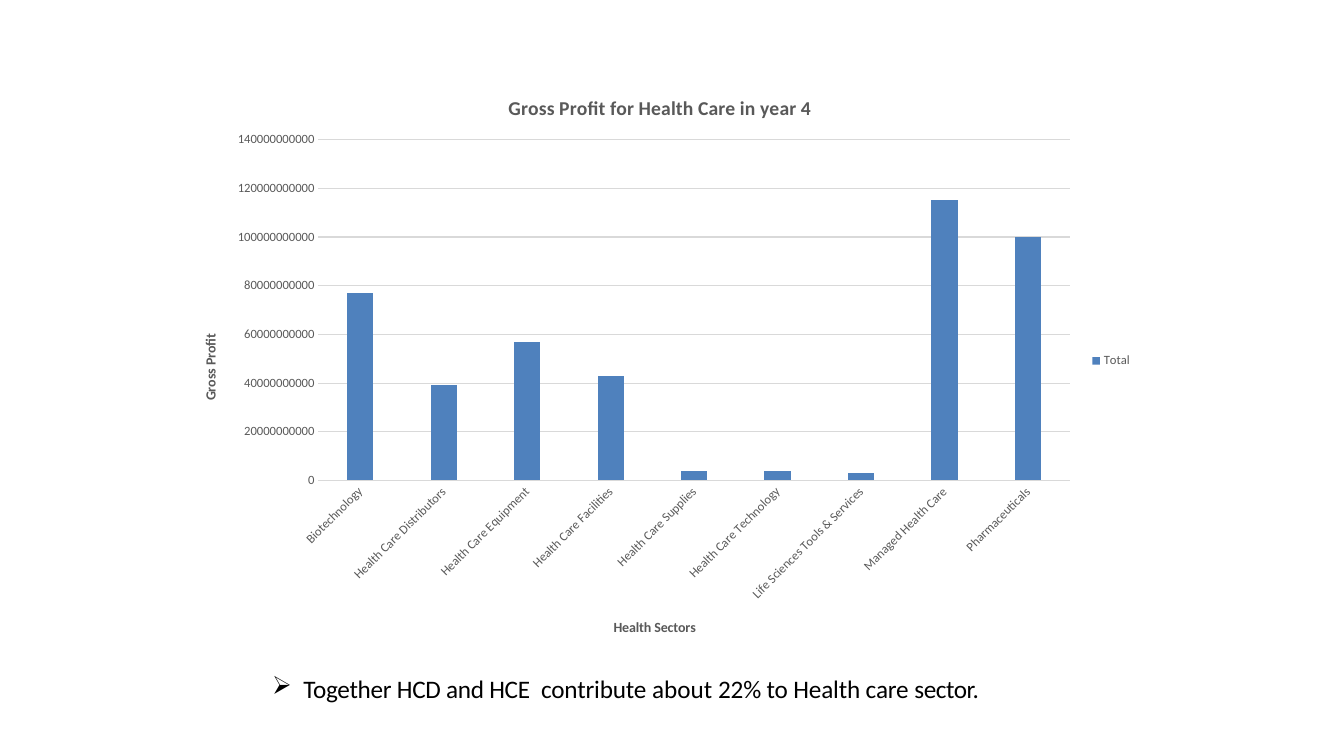
from lxml import etree
from pptx import Presentation
from pptx.chart.data import CategoryChartData
from pptx.dml.color import RGBColor
from pptx.enum.chart import XL_CHART_TYPE, XL_LEGEND_POSITION, XL_TICK_MARK
from pptx.oxml import parse_xml
from pptx.oxml.ns import nsdecls, qn
from pptx.util import Inches, Pt

GREY, GRID, BLUE, BLACK = "595959", "D9D9D9", "4F81BD", "000000"
BILLION = 10 ** 9

GROSS_PROFIT = {
    "Biotechnology": 77,
    "Health Care Distributors": 39,
    "Health Care Equipment": 57,
    "Health Care Facilities": 43,
    "Health Care Supplies": 4,
    "Health Care Technology": 4,
    "Life Sciences Tools & Services": 3,
    "Managed Health Care": 115,
    "Pharmaceuticals": 100,
}

# Runs of the takeaway with their letter spacing in hundredths of a point
TAKEAWAY = [
    ("Together HCD and HCE  ", -20),
    ("contribute ", -10),
    ("about ", 0),
    ("22% to Health care ", -10),
    ("sector.", -30),
]


def rgb(value):
    return RGBColor.from_string(value)


def set_attrs(obj, values):
    for name, value in values.items():
        setattr(obj, name, value)


def set_font(font, size, color, bold=False):
    set_attrs(font, {"name": "Calibri", "size": Pt(size), "bold": bold})
    font.color.rgb = rgb(color)


def set_line(line, color):
    line.color.rgb = rgb(color)
    line.width = Pt(0.75)


def make_layout(**values):
    """Manual chart layout; values are fractions of the chart area."""
    layout = parse_xml(f"<c:layout {nsdecls('c')}/>")
    manual = etree.SubElement(layout, qn("c:manualLayout"))
    if "w" in values:
        etree.SubElement(manual, qn("c:layoutTarget")).set("val", "inner")
    for axis in "xy":
        etree.SubElement(manual, qn(f"c:{axis}Mode")).set("val", "edge")
    for name, value in values.items():
        etree.SubElement(manual, qn(f"c:{name}")).set("val", str(value))
    return layout


def drop_layout(element):
    for old in element.findall(qn("c:layout")):
        element.remove(old)


def add_title(owner, text, size, x, y, rotation=0):
    """Give a chart or an axis a bold title at a fixed place."""
    owner.has_title = True
    title = owner.chart_title if hasattr(owner, "chart_title") else owner.axis_title
    tf = title.text_frame
    tf.text = text
    set_font(tf.paragraphs[0].runs[0].font, size, GREY, bold=True)
    element = title._element
    drop_layout(element)
    tx = element.find(qn("c:tx"))
    tx.addnext(make_layout(x=x, y=y))
    body = tx.find(".//" + qn("a:bodyPr"))
    body.set("rot", str(rotation * 60000))
    body.set("vert", "horz")


def format_axis(axis, values):
    set_attrs(axis, {"major_tick_mark": XL_TICK_MARK.NONE,
                     "minor_tick_mark": XL_TICK_MARK.NONE, **values})
    labels = axis.tick_labels
    set_attrs(labels, {"number_format": "0", "number_format_is_linked": False})
    set_font(labels.font, 9, GREY)


def add_profit_chart(s):
    data = CategoryChartData(number_format="0")
    data.categories = list(GROSS_PROFIT)
    data.add_series("Total", [v * BILLION for v in GROSS_PROFIT.values()])
    chart = s.shapes.add_chart(
        XL_CHART_TYPE.COLUMN_CLUSTERED, Inches(1.75), Inches(0.67),
        Inches(9.58), Inches(5.82), data).chart
    set_font(chart.font, 10, BLACK)
    add_title(chart, "Gross Profit for Health Care in year 4", 14, 0.34, 0.04)

    # Columns
    plot = chart.plots[0]
    set_attrs(plot, {"gap_width": 219, "overlap": -27, "vary_by_categories": False})
    fill = plot.series[0].format.fill
    fill.solid()
    fill.fore_color.rgb = rgb(BLUE)
    area = chart._chartSpace.chart.plotArea
    drop_layout(area)
    area.insert(0, make_layout(x=0.147, y=0.123, w=0.778, h=0.581))

    # Category axis with slanted labels
    sectors = chart.category_axis
    format_axis(sectors, {"has_major_gridlines": False})
    set_line(sectors.format.line, GRID)
    sectors._element.find(qn("c:txPr")).find(qn("a:bodyPr")).set("rot", "-2700000")
    add_title(sectors, "Health Sectors", 10, 0.45, 0.935)

    # Value axis
    profit = chart.value_axis
    format_axis(profit, {"has_major_gridlines": True, "minimum_scale": 0,
                         "maximum_scale": 140 * BILLION, "major_unit": 20 * BILLION})
    profit.format.line.fill.background()
    set_line(profit.major_gridlines.format.line, GRID)
    add_title(profit, "Gross Profit", 10, 0.023, 0.45, rotation=-90)

    # Legend
    chart.has_legend = True
    set_attrs(chart.legend, {"position": XL_LEGEND_POSITION.RIGHT,
                             "include_in_layout": False})
    set_font(chart.legend.font, 9, GREY)


def add_bullet(p, char, margin, indent):
    pPr = p._p.get_or_add_pPr()
    pPr.set("marL", str(Inches(margin)))
    pPr.set("indent", str(Inches(indent)))
    etree.SubElement(pPr, qn("a:buChar")).set("char", char)
    tabs = etree.SubElement(pPr, qn("a:tabLst"))
    tab = etree.SubElement(tabs, qn("a:tab"))
    tab.set("pos", str(Inches(margin)))
    tab.set("algn", "l")


def add_takeaway(s):
    sp = s.shapes.add_textbox(Inches(2.58), Inches(6.63), Inches(9), Inches(0.4))
    tf = sp.text_frame
    tf.word_wrap = True
    p = tf.paragraphs[0]
    p.space_before = Pt(0.2)
    add_bullet(p, "➢", 0.33, -0.31)
    for text, spacing in TAKEAWAY:
        r = p.add_run()
        r.text = text
        set_font(r.font, 18, BLACK)
        r._r.get_or_add_rPr().set("spc", str(spacing))


def main():
    prs = Presentation()
    set_attrs(prs, {"slide_width": Inches(13.33), "slide_height": Inches(7.5)})
    s = prs.slides.add_slide(prs.slide_layouts[6])
    add_profit_chart(s)
    add_takeaway(s)
    prs.save("out.pptx")


if __name__ == "__main__":
    main()
